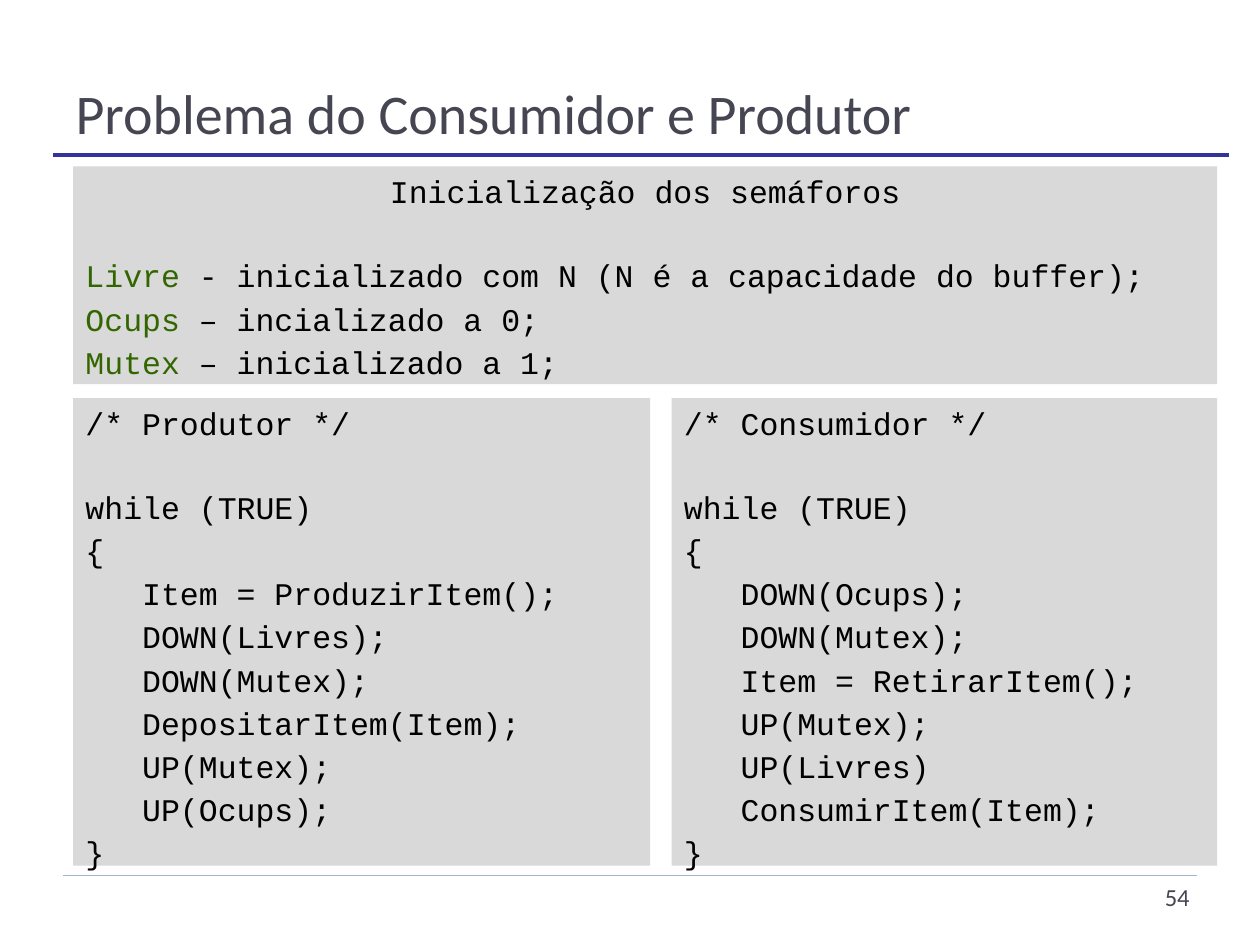
"""Build the slide on the producer and consumer problem with semaphores."""
from pptx import Presentation
from pptx.dml.color import RGBColor
from pptx.enum.shapes import MSO_CONNECTOR, MSO_SHAPE
from pptx.enum.text import MSO_ANCHOR, PP_ALIGN
from pptx.oxml.ns import qn
from pptx.util import Inches, Pt
from lxml.etree import SubElement

SLATE = RGBColor(0x46, 0x46, 0x53)
INDIGO = RGBColor(0x33, 0x33, 0x99)
PALE_BLUE = RGBColor(0x9F, 0xB8, 0xCD)
GRAY = RGBColor(0xD9, 0xD9, 0xD9)
GREEN = RGBColor(0x33, 0x66, 0x00)
BLACK = RGBColor(0, 0, 0)

SEMAPHORES = [
    ("Livre", " - inicializado com N (N é a capacidade do buffer);"),
    ("Ocups", " – incializado a 0;"),
    ("Mutex", " – inicializado a 1;"),
]
PRODUCER_STEPS = [
    "Item = ProduzirItem();", "DOWN(Livres);", "DOWN(Mutex);",
    "DepositarItem(Item);", "UP(Mutex);", "UP(Ocups);",
]
CONSUMER_STEPS = [
    "DOWN(Ocups);", "DOWN(Mutex);", "Item = RetirarItem();",
    "UP(Mutex);", "UP(Livres)", "ConsumirItem(Item);",
]


class SlideBuilder:
    text_font = "Calibri"
    code_font = "Courier New"
    code_size = 18
    line_gap = Pt(3)
    section_gap = Pt(26.4)
    step_indent = Inches(0.45)

    def __init__(self, slide):
        self.slide = slide

    def format_run(self, run, font_name, size, color):
        run.font.name = font_name
        run.font.size = Pt(size)
        run.font.color.rgb = color

    def add_title(self, text):
        title = self.slide.shapes.title
        title.left, title.top = Inches(0.5), Inches(0.13)
        title.width, title.height = Inches(9), Inches(1.08)
        title.text_frame.text = text
        title.text_frame.vertical_anchor = MSO_ANCHOR.BOTTOM
        paragraph = title.text_frame.paragraphs[0]
        paragraph.alignment = PP_ALIGN.LEFT
        self.format_run(paragraph.runs[0], self.text_font, 32, SLATE)

    def add_rule(self, left, right, top, color, width):
        rule = self.slide.shapes.add_connector(
            MSO_CONNECTOR.STRAIGHT, Inches(left), Inches(top), Inches(right), Inches(top))
        rule.line.color.rgb = color
        rule.line.width = Pt(width)
        SubElement(rule._element.spPr, qn("a:effectLst"))

    def add_page_number(self, number):
        box = self.slide.shapes.add_textbox(
            Inches(7.36), Inches(6.95), Inches(2.18), Inches(0.4))
        box.text_frame.word_wrap = True
        box.text_frame.text = number
        paragraph = box.text_frame.paragraphs[0]
        paragraph.alignment = PP_ALIGN.RIGHT
        self.format_run(paragraph.runs[0], self.text_font, 14, SLATE)

    def add_panel(self, left, top, width, height, heading):
        panel = self.slide.shapes.add_shape(
            MSO_SHAPE.RECTANGLE, Inches(left), Inches(top), Inches(width), Inches(height))
        panel.shadow.inherit = False
        panel.fill.solid()
        panel.fill.fore_color.rgb = GRAY
        panel.line.fill.background()
        text_frame = panel.text_frame
        text_frame.word_wrap = True
        text_frame.vertical_anchor = MSO_ANCHOR.TOP
        self.write_line(text_frame.paragraphs[0], [(heading, BLACK)])
        return text_frame

    def write_line(self, paragraph, pieces, opens_section=False):
        paragraph.alignment = PP_ALIGN.LEFT
        paragraph.space_before = self.section_gap if opens_section else self.line_gap
        for text, color in pieces:
            run = paragraph.add_run()
            run.text = text
            self.format_run(run, self.code_font, self.code_size, color)

    def add_semaphores(self, heading, semaphores):
        text_frame = self.add_panel(0.58, 1.32, 9.08, 1.73, heading)
        text_frame.paragraphs[0].alignment = PP_ALIGN.CENTER
        for index, (name, meaning) in enumerate(semaphores):
            self.write_line(text_frame.add_paragraph(),
                            [(name, GREEN), (meaning, BLACK)], index == 0)

    def add_loop(self, left, width, heading, steps):
        text_frame = self.add_panel(left, 3.16, width, 3.71, heading)
        for index, line in enumerate(["while (TRUE)", "{", *steps, "}"]):
            paragraph = text_frame.add_paragraph()
            self.write_line(paragraph, [(line, BLACK)], index == 0)
            if line in steps:
                paragraph._p.get_or_add_pPr().set("marL", str(self.step_indent))


def main():
    presentation = Presentation()
    presentation.slide_width, presentation.slide_height = Inches(10), Inches(7.5)
    builder = SlideBuilder(presentation.slides.add_slide(presentation.slide_layouts[5]))
    builder.add_rule(0.5, 9.5, 6.95, PALE_BLUE, 0.75)
    builder.add_rule(0.42, 9.75, 1.23, INDIGO, 2)
    builder.add_title("Problema do Consumidor e Produtor")
    builder.add_page_number("54")
    builder.add_loop(0.58, 4.58, "/* Produtor */", PRODUCER_STEPS)
    builder.add_loop(5.33, 4.33, "/* Consumidor */", CONSUMER_STEPS)
    builder.add_semaphores("Inicialização dos semáforos", SEMAPHORES)
    presentation.save("out.pptx")


if __name__ == "__main__":
    main()
